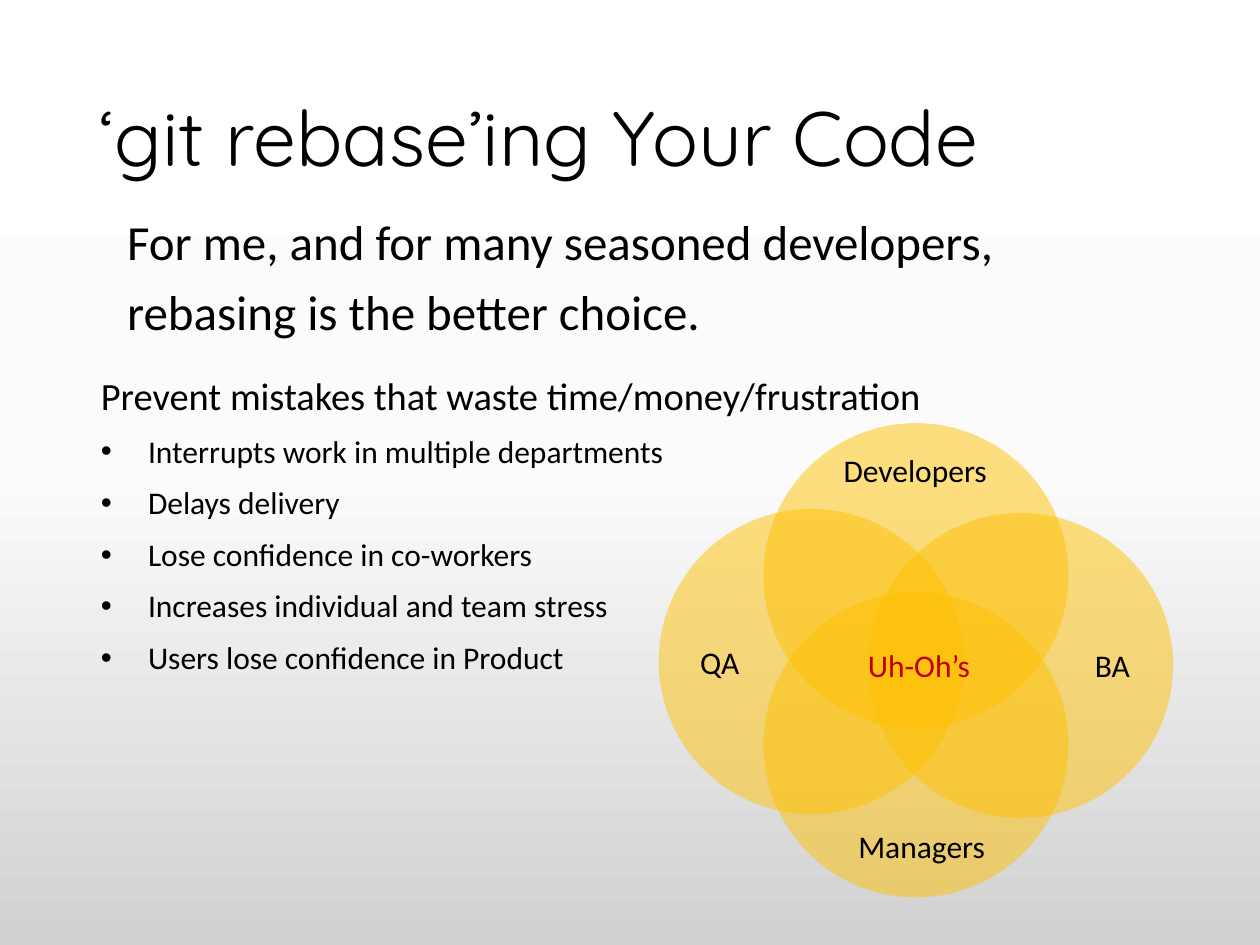
from copy import deepcopy
from dataclasses import dataclass

from lxml import etree
from pptx import Presentation
from pptx.dml.color import RGBColor
from pptx.enum import shapes, text
from pptx.oxml import ns
from pptx.util import Cm, Pt


@dataclass(frozen=True)
class Theme:
    heading_font: str = "Quicksand"
    body_font: str = "Calibri"
    ink: str = "000000"
    alert: str = "C00000"
    circle: str = "FFC000"
    circle_opacity: int = 49
    backdrop: tuple = ((0, "FFFFFF"), (0.5, "FBFBFB"), (1, "D1D1D1"))
    title_size: int = 44
    statement_size: int = 28
    lead_size: int = 22
    small_size: int = 18


class SlideBuilder:
    def __init__(self, slide, theme):
        self.slide = slide
        self.theme = theme

    def backdrop(self):
        fill = self.slide.background.fill
        fill.gradient()
        fill.gradient_angle = 270
        stop_list = self.slide.element.find(".//" + ns.qn("a:gsLst"))
        stop_list.insert(1, deepcopy(stop_list[0]))
        for stop, (position, color) in zip(fill.gradient_stops, self.theme.backdrop):
            stop.position = position
            stop.color.rgb = RGBColor.from_string(color)

    def place(self, shape, left, top, width, height):
        shape.left, shape.top = Cm(left), Cm(top)
        shape.width, shape.height = Cm(width), Cm(height)

    def style(self, paragraph, size, font=None, color=None):
        for run in paragraph.runs:
            run.font.size = Pt(size)
            run.font.name = font or self.theme.body_font
            run.font.color.rgb = RGBColor.from_string(color or self.theme.ink)

    def title(self, wording, box):
        heading = self.slide.shapes.title
        self.place(heading, *box)
        frame = heading.text_frame
        frame.text = wording
        frame.auto_size = text.MSO_AUTO_SIZE.NONE
        frame.vertical_anchor = text.MSO_ANCHOR.MIDDLE
        line = frame.paragraphs[0]
        line.alignment = text.PP_ALIGN.LEFT
        line.line_spacing = 0.9
        self.style(line, self.theme.title_size, self.theme.heading_font)

    def body(self, index, lines, box):
        """Fill a body placeholder with (wording, size, bulleted) lines."""
        body = self.slide.placeholders[index]
        self.place(body, *box)
        frame = body.text_frame
        frame.text = "\n".join(wording for wording, _, _ in lines)
        frame.auto_size = text.MSO_AUTO_SIZE.NONE
        for paragraph, (_, size, bulleted) in zip(frame.paragraphs, lines):
            paragraph.line_spacing = 0.9
            paragraph.space_before = Pt(10)
            self.style(paragraph, size)
            self.bullet(paragraph, bulleted)

    def bullet(self, paragraph, shown):
        hang = Cm(0.95) if shown else 0
        properties = paragraph._p.get_or_add_pPr()
        properties.set("marL", str(hang))
        properties.set("indent", str(-hang))
        if shown:
            font = etree.SubElement(properties, ns.qn("a:buFont"))
            font.set("typeface", "Arial")
            mark = etree.SubElement(properties, ns.qn("a:buChar"))
            mark.set("char", "•")
        else:
            etree.SubElement(properties, ns.qn("a:buNone"))

    def circle(self, left, top, diameter):
        circle = self.slide.shapes.add_shape(
            shapes.MSO_SHAPE.OVAL, Cm(left), Cm(top), Cm(diameter), Cm(diameter))
        circle.shadow.inherit = False
        circle.line.fill.background()
        circle.fill.solid()
        circle.fill.fore_color.rgb = RGBColor.from_string(self.theme.circle)
        color = circle.element.spPr.find(".//" + ns.qn("a:srgbClr"))
        alpha = etree.SubElement(color, ns.qn("a:alpha"))
        alpha.set("val", str(self.theme.circle_opacity * 1000))

    def label(self, wording, left, top, width, color=None):
        label = self.slide.shapes.add_textbox(Cm(left), Cm(top), Cm(width), Cm(1.03))
        frame = label.text_frame
        frame.word_wrap = True
        frame.auto_size = text.MSO_AUTO_SIZE.SHAPE_TO_FIT_TEXT
        frame.text = wording
        line = frame.paragraphs[0]
        line.alignment = text.PP_ALIGN.CENTER
        self.style(line, self.theme.small_size, color=color)


STATEMENT = (
    "For me, and for many seasoned developers,",
    "rebasing is the better choice.",
)
LEAD = "Prevent mistakes that waste time/money/frustration"
COSTS = (
    "Interrupts work in multiple departments",
    "Delays delivery",
    "Lose confidence in co-workers",
    "Increases individual and team stress",
    "Users lose confidence in Product",
)
DIAMETER = 6.15
TEAM_CIRCLES = ((15.39, 8.53), (15.39, 11.94), (13.28, 10.26), (17.5, 10.34))
TEAM_LABELS = (
    ("QA", 13.61, 12.83, 1.8),
    ("BA", 21.51, 12.9, 1.83),
    ("Developers", 16.33, 8.97, 4.24),
    ("Managers", 16.46, 16.54, 4.24),
)


def main():
    deck = Presentation()
    deck.slide_width, deck.slide_height = Cm(25.4), Cm(19.05)
    theme = Theme()
    two_content = deck.slide_layouts[3]
    builder = SlideBuilder(deck.slides.add_slide(two_content), theme)

    builder.backdrop()
    builder.title("‘git rebase’ing Your Code", (1.75, 1.02, 21.9, 3.68))
    builder.body(1, [(line, theme.statement_size, False) for line in STATEMENT],
                 (2.31, 4.27, 19.28, 2.84))
    costs = [(cost, theme.small_size, True) for cost in COSTS]
    builder.body(2, [(LEAD, theme.lead_size, False)] + costs,
                 (1.78, 7.47, 17.93, 7.85))

    for left, top in TEAM_CIRCLES:
        builder.circle(left, top, DIAMETER)
    for label in TEAM_LABELS:
        builder.label(*label)
    builder.label("Uh-Oh’s", 16.81, 12.9, 3.43, theme.alert)

    deck.save("out.pptx")


if __name__ == "__main__":
    main()
